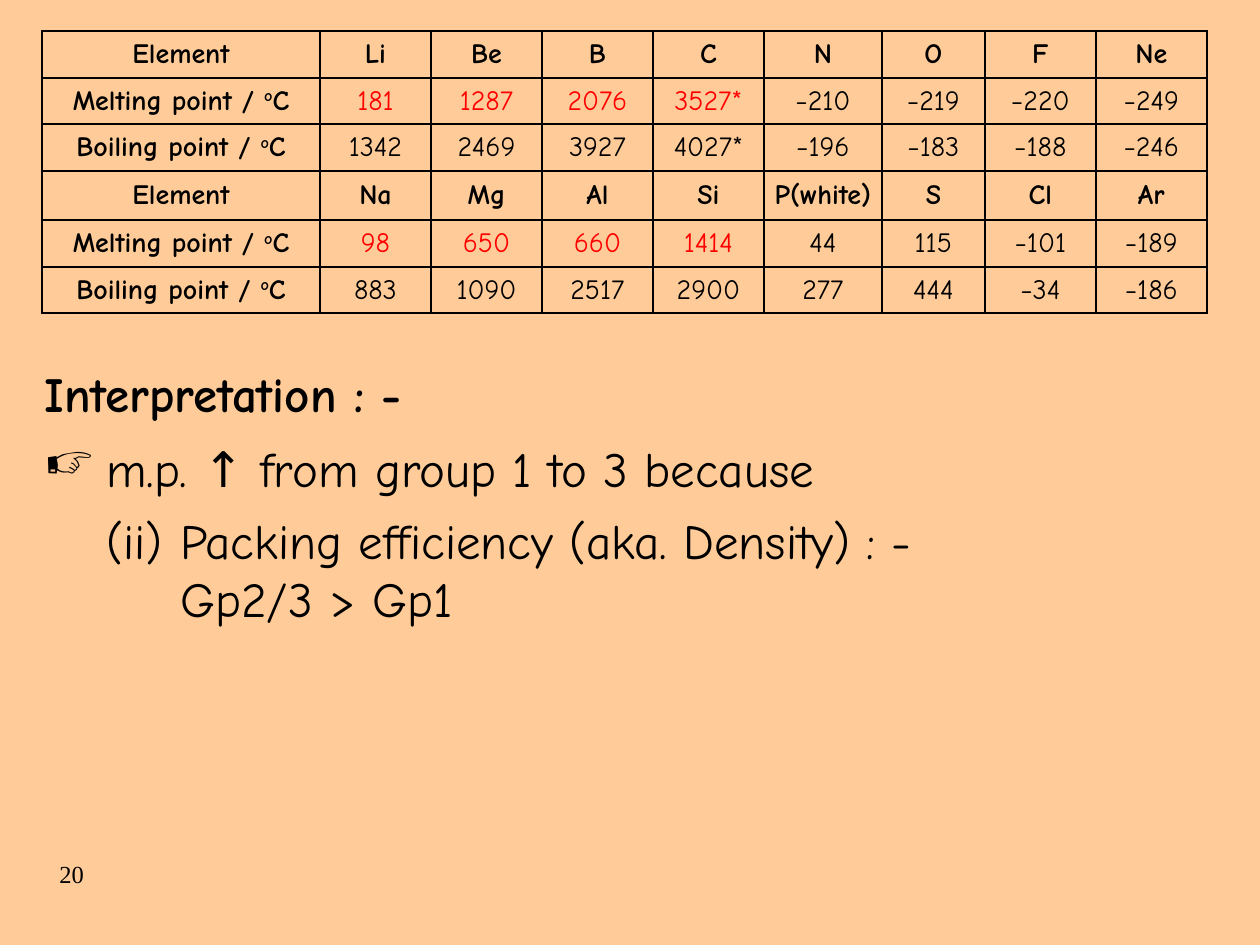
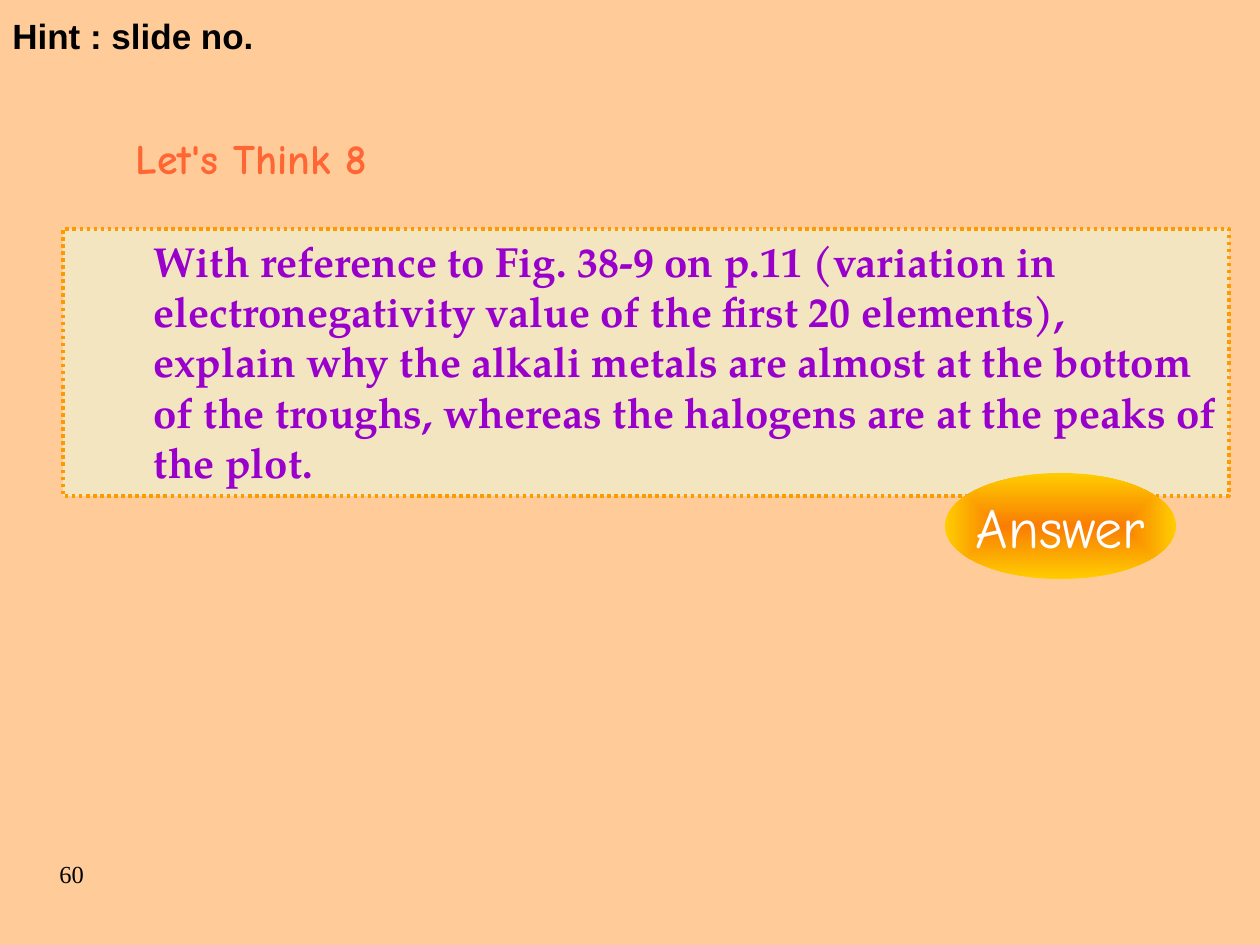
import dataclasses
import typing

import pptx
import pptx.dml.color
import pptx.enum.dml
import pptx.enum.shapes
import pptx.enum.text
import pptx.oxml.ns
import pptx.oxml.xmlchemy
import pptx.presentation
import pptx.shapes.autoshape
import pptx.slide
import pptx.table
import pptx.text.text
import pptx.util
from lxml import etree

PX = 914400 / 126
BLACK, RED, WHITE = "000000", "FF0000", "FFFFFF"
PEACH, MINT, ORANGE = "FFCC99", "E7FFE7", "FF9900"
PURPLE, CORAL, AMBER, GOLD = "9900CC", "FF6633", "F97E03", "FFCC00"
HAND, BOOK, SERIF, SANS = "Comic Neue", "TeX Gyre Pagella", "Times New Roman", "Arial"
THIN, THICK = 1, 1.5
LEFT, CENTER = pptx.enum.text.PP_ALIGN.LEFT, pptx.enum.text.PP_ALIGN.CENTER
TOP, MIDDLE = pptx.enum.text.MSO_ANCHOR.TOP, pptx.enum.text.MSO_ANCHOR.MIDDLE

COLUMN_WIDTHS = (278, 111, 111, 111, 111, 118, 103, 111, 111)
ROW_HEIGHTS = (47, 46, 47, 49, 47, 46)
PERIOD_ROWS = 3
METAL_COLUMNS = range(1, 5)
MELTING, BOILING = "Melting point / ", "Boiling point / "
ELEMENT_ROWS = (
    ("Element", "Li", "Be", "B", "C", "N", "O", "F", "Ne"),
    (MELTING, "181", "1287", "2076", "3527*", "−210", "−219", "−220", "−249"),
    (BOILING, "1342", "2469", "3927", "4027*", "−196", "−183", "−188", "−246"),
    ("Element", "Na", "Mg", "Al", "Si", "P(white)", "S", "Cl", "Ar"),
    (MELTING, "98", "650", "660", "1414", "44", "115", "−101", "−189"),
    (BOILING, "883", "1090", "2517", "2900", "277", "444", "−34", "−186"),
)


@dataclasses.dataclass(frozen=True)
class Label:
    """A text block; lengths in px, text size in points."""

    left: int
    top: int
    width: int
    height: int
    text: str
    size: int = 28
    font: str = HAND
    color: str = BLACK
    bold: bool = False
    align: pptx.enum.text.PP_ALIGN = LEFT
    anchor: pptx.enum.text.MSO_ANCHOR = TOP
    wrap: bool = True
    margin: int = 0
    hanging: int = 0
    bullet: str = ""


INTERPRETATION = (
    Label(32, 357, 577, 72, "Interpretation : -", bold=True),
    Label(32, 432, 1228, 72, "m.p. ↑ from group 1 to 3 because",
          margin=62, hanging=62, bullet="☞"),
    Label(32, 504, 1228, 190,
          "(ii)\tPacking efficiency (aka. Density) : -\n\tGp2/3 > Gp1",
          margin=136, hanging=74),
)
QUESTION = Label(
    63, 229, 1166, 267,
    "With reference to Fig. 38-9 on p.11 (variation in electronegativity value of "
    "the first 20 elements), explain why the alkali metals are almost at the bottom "
    "of the troughs, whereas the halogens are at the peaks of the plot.",
    size=24, font=BOOK, color=PURPLE, bold=True, margin=78)
ANSWER = Label(945, 473, 231, 106, "Answer", size=32, color=WHITE,
               align=CENTER, anchor=MIDDLE, wrap=False)
HINT = Label(0, 8, 746, 54, "Hint : slide no.", size=20, font=SANS, bold=True)
THINK_TITLE = Label(62, 126, 379, 98, "Let's Think 8", size=24, color=CORAL,
                    bold=True, align=CENTER, wrap=False)


def px(length: int) -> pptx.util.Emu:
    return pptx.util.Emu(round(length * PX))


def rgb(code: str) -> pptx.dml.color.RGBColor:
    return pptx.dml.color.RGBColor.from_string(code)


def add_node(parent: etree._Element, tag: str, **attributes: str) -> etree._Element:
    return etree.SubElement(parent, pptx.oxml.ns.qn(tag), attributes)


def add_span(para: pptx.text.text._Paragraph, text: str, *, size: int,
             font: str = HAND, color: str = BLACK, bold: bool = False,
             raised: bool = False) -> None:
    span = para.add_run()
    span.text = text
    span.font.size = pptx.util.Pt(size)
    span.font.name = font
    span.font.bold = bold
    span.font.color.rgb = rgb(color)
    if raised:
        span.font._element.set("baseline", "30000")


def write_label(frame: pptx.text.text.TextFrame, label: Label) -> None:
    frame.word_wrap = label.wrap
    frame.vertical_anchor = label.anchor
    for index, line in enumerate(label.text.split("\n")):
        para = frame.add_paragraph() if index else frame.paragraphs[0]
        para.alignment = label.align
        properties = para._p.get_or_add_pPr()
        properties.set("marL", str(px(label.margin)))
        properties.set("indent", str(-px(label.hanging)))
        if label.bullet:
            add_node(properties, "a:buChar", char=label.bullet)
        add_span(para, line, size=label.size, font=label.font,
                 color=label.color, bold=label.bold)


def frame_of(label: Label) -> typing.Tuple[pptx.util.Emu, ...]:
    return tuple(map(px, (label.left, label.top, label.width, label.height)))


def add_label(page: pptx.slide.Slide, label: Label) -> None:
    box = page.shapes.add_textbox(*frame_of(label))
    write_label(box.text_frame, label)


def add_panel(page: pptx.slide.Slide, label: Label,
              outline: pptx.enum.shapes.MSO_SHAPE) -> pptx.shapes.autoshape.Shape:
    panel = page.shapes.add_shape(outline, *frame_of(label))
    panel.shadow.inherit = False
    write_label(panel.text_frame, label)
    return panel


def add_page(deck: pptx.presentation.Presentation, number: int) -> pptx.slide.Slide:
    page = deck.slides.add_slide(deck.slide_layouts[6])
    add_label(page, Label(47, 853, 179, 63, str(number), size=14, font=SERIF))
    return page


def set_borders(cell: pptx.table._Cell, row: int, column: int) -> None:
    """Thick lines frame each period and the heading column."""
    first_row = row % PERIOD_ROWS == 0
    last_row = row % PERIOD_ROWS == PERIOD_ROWS - 1
    thick_sides = {
        "a:lnL": column < 2,
        "a:lnR": column in (0, len(COLUMN_WIDTHS) - 1),
        "a:lnT": first_row,
        "a:lnB": last_row,
    }
    for tag, thick in thick_sides.items():
        width = pptx.util.Pt(THICK if thick else THIN)
        line = add_node(cell._tc.get_or_add_tcPr(), tag, w=str(width))
        add_node(add_node(line, "a:solidFill"), "a:srgbClr", val=BLACK)


def fill_cell(cell: pptx.table._Cell, row: int, column: int) -> None:
    text = ELEMENT_ROWS[row][column]
    cell.margin_left = cell.margin_right = px(3)
    cell.margin_top = cell.margin_bottom = 0
    cell.vertical_anchor = MIDDLE
    set_borders(cell, row, column)
    cell.fill.background()
    para = cell.text_frame.paragraphs[0]
    para.alignment = CENTER
    melting_metal = row % PERIOD_ROWS == 1 and column in METAL_COLUMNS
    heading = row % PERIOD_ROWS == 0 or column == 0
    add_span(para, text, size=16, bold=heading, color=RED if melting_metal else BLACK)
    if text in (MELTING, BOILING):
        add_span(para, "o", size=16, bold=True, raised=True)
        add_span(para, "C", size=16, bold=True)


def add_element_table(page: pptx.slide.Slide) -> None:
    table = page.shapes.add_table(
        len(ROW_HEIGHTS), len(COLUMN_WIDTHS), px(42), px(31),
        px(sum(COLUMN_WIDTHS)), px(sum(ROW_HEIGHTS))).table
    table.first_row = table.horz_banding = False
    for column, width in enumerate(COLUMN_WIDTHS):
        table.columns[column].width = px(width)
    for row, height in enumerate(ROW_HEIGHTS):
        table.rows[row].height = px(height)
        for column in range(len(COLUMN_WIDTHS)):
            fill_cell(table.cell(row, column), row, column)


def add_question(page: pptx.slide.Slide) -> None:
    panel = add_panel(page, QUESTION, pptx.enum.shapes.MSO_SHAPE.RECTANGLE)
    panel.fill.solid()
    panel.fill.fore_color.rgb = rgb(MINT)
    tint = panel._element.spPr.find(".//" + pptx.oxml.ns.qn("a:srgbClr"))
    add_node(tint, "a:alpha", val="50000")
    panel.line.color.rgb = rgb(ORANGE)
    panel.line.width = pptx.util.Pt(2)
    panel.line.dash_style = pptx.enum.dml.MSO_LINE.ROUND_DOT


def add_answer_button(page: pptx.slide.Slide) -> None:
    button = add_panel(page, ANSWER, pptx.enum.shapes.MSO_SHAPE.OVAL)
    button.line.fill.background()
    button.fill.gradient()
    for stop, color in zip(button.fill.gradient_stops, (AMBER, GOLD)):
        stop.color.rgb = rgb(color)
    gradient = button._element.spPr.find(pptx.oxml.ns.qn("a:gradFill"))
    gradient.remove(gradient.find(pptx.oxml.ns.qn("a:lin")))
    glow = add_node(gradient, "a:path", path="shape")
    add_node(glow, "a:fillToRect", **dict.fromkeys("ltrb", "50000"))


def main() -> None:
    deck = pptx.Presentation()
    deck.slide_width, deck.slide_height = px(1260), px(945)
    backdrop = deck.slide_master.background.fill
    backdrop.solid()
    backdrop.fore_color.rgb = rgb(PEACH)

    melting_page = add_page(deck, 20)
    add_element_table(melting_page)
    for label in INTERPRETATION:
        add_label(melting_page, label)

    think_page = add_page(deck, 60)
    add_question(think_page)
    add_answer_button(think_page)
    add_label(think_page, HINT)
    add_label(think_page, THINK_TITLE)

    deck.save("out.pptx")


if __name__ == "__main__":
    main()
